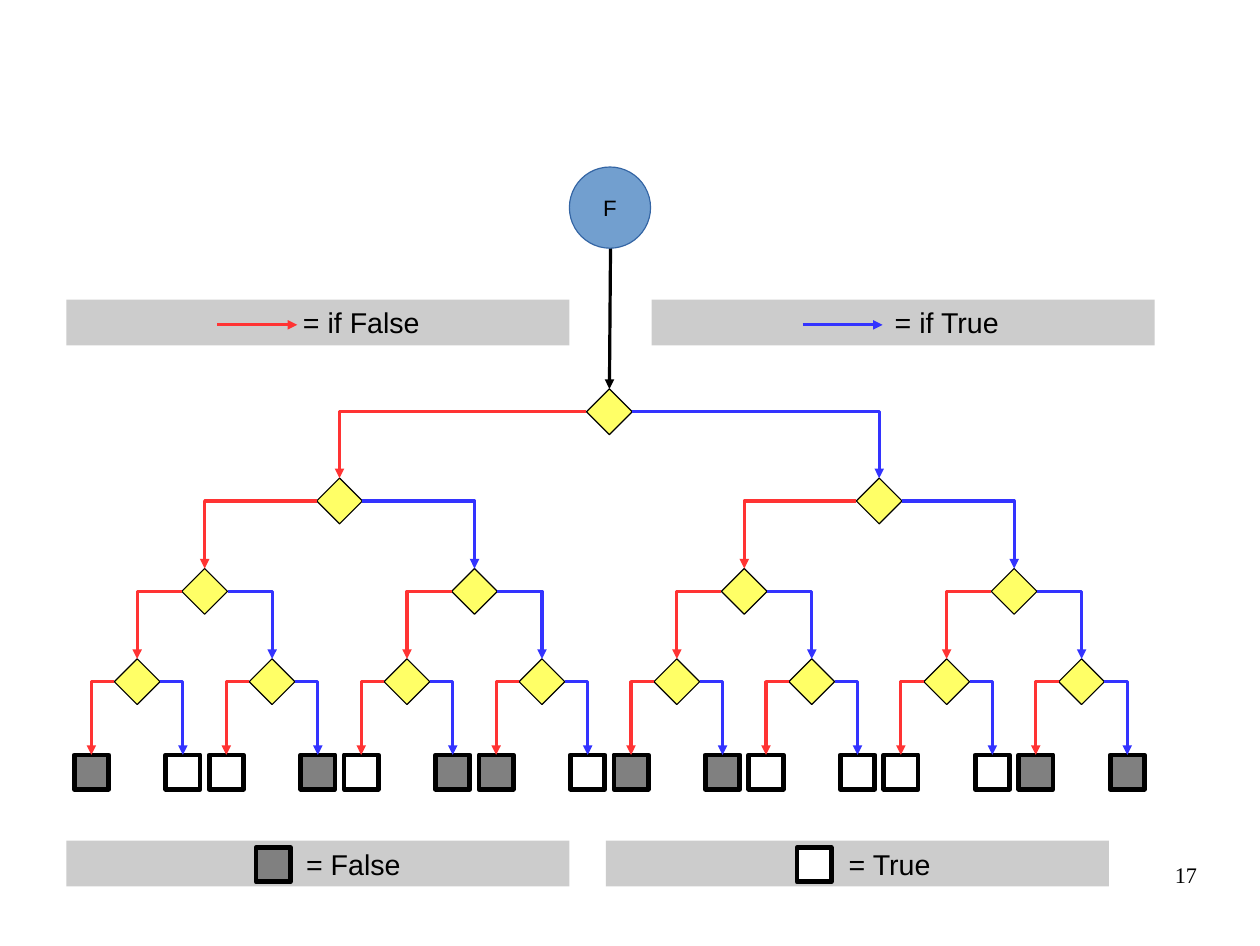
from pptx import Presentation
from pptx.dml.color import RGBColor
from pptx.enum.shapes import MSO_CONNECTOR, MSO_SHAPE
from pptx.enum.text import MSO_ANCHOR, PP_ALIGN
from pptx.oxml.ns import qn
from pptx.util import Pt
from lxml import etree

RECT, DIAMOND, OVAL = MSO_SHAPE.RECTANGLE, MSO_SHAPE.DIAMOND, MSO_SHAPE.OVAL
STRAIGHT, ELBOW = MSO_CONNECTOR.STRAIGHT, MSO_CONNECTOR.ELBOW
MIDDLE = MSO_ANCHOR.MIDDLE
CENTER, RIGHT = PP_ALIGN.CENTER, PP_ALIGN.RIGHT

PX = 9144  # 100 px to the inch
TOP, LEFT_SIDE, RIGHT_SIDE = 0, 1, 3  # connection sites

COLORS = {
    "black": "000000", "bar": "CCCCCC", "decision": "FFFF66",
    "function": "729FCF", "function_edge": "3465A4",
    "if_false": "FF3333", "if_true": "3333FF",
    "F": "808080", "T": "FFFFFF",
}
ROOT_X = 533
DECISION_TOPS = [340, 418, 497, 576]
CHILD_OFFSETS = [236, 118, 59, 40]
DECISION_SIZE = 40
LEAF_TOP, LEAF_SIZE = 660, 30
OUTCOMES = "FTTFTFFTFFTTTTFF"


def color(name):
    return RGBColor.from_string(COLORS[name])


def add_box(slide, kind, left, top, width, height, fill, edge=None, weight=0):
    box = slide.shapes.add_shape(kind, left * PX, top * PX, width * PX, height * PX)
    box.shadow.inherit = False
    box.fill.solid()
    box.fill.fore_color.rgb = color(fill)
    if edge:
        box.line.color.rgb = color(edge)
        box.line.width = Pt(weight)
    else:
        box.line.fill.background()
    return box


def write(box, text, size, font="Arial", align=CENTER):
    frame = box.text_frame
    frame.word_wrap = True
    paragraph = frame.paragraphs[0]
    paragraph.text = text
    paragraph.alignment = align
    paragraph.font.size = Pt(size)
    paragraph.font.name = font
    paragraph.font.color.rgb = color("black")
    return frame


def add_arrow(slide, kind, start, end, ink):
    arrow = slide.shapes.add_connector(kind, *(v * PX for v in (*start, *end)))
    arrow.line.color.rgb = color(ink)
    arrow.line.width = Pt(0)
    properties = arrow._element.spPr
    etree.SubElement(properties.find(qn("a:ln")), qn("a:tailEnd"), type="triangle")
    etree.SubElement(properties, qn("a:effectLst"))
    return arrow


def add_branch(slide, parent, side, child, ink):
    branch = add_arrow(slide, ELBOW, (0, 0), (0, 0), ink)
    branch.begin_connect(parent, side)
    branch.end_connect(child, TOP)
    # One corner: sideways, then down
    branch._element.spPr.find(qn("a:prstGeom")).set("prst", "bentConnector2")


def add_leaf(slide, left, top, outcome):
    return add_box(slide, RECT, left, top, LEAF_SIZE, LEAF_SIZE, outcome, "black", 3)


def add_tree(slide, x, level, outcomes):
    if level == len(DECISION_TOPS):
        return add_leaf(slide, x - LEAF_SIZE // 2, LEAF_TOP, outcomes)
    decision = add_box(slide, DIAMOND, x - DECISION_SIZE // 2, DECISION_TOPS[level],
                       DECISION_SIZE, DECISION_SIZE, "decision", "black")
    half, offset = len(outcomes) // 2, CHILD_OFFSETS[level]
    if_false = add_tree(slide, x - offset, level + 1, outcomes[:half])
    if_true = add_tree(slide, x + offset, level + 1, outcomes[half:])
    add_branch(slide, decision, LEFT_SIDE, if_false, "if_false")
    add_branch(slide, decision, RIGHT_SIDE, if_true, "if_true")
    return decision


def add_legend_bar(slide, left, top, text, indent):
    bar = add_box(slide, RECT, left, top, 440, 40, "bar")
    frame = write(bar, text, 18)
    frame.vertical_anchor = MIDDLE
    frame.margin_left = indent * PX


def add_page_number(slide, number):
    box = slide.shapes.add_textbox(790 * PX, 753 * PX, 257 * PX, 57 * PX)
    frame = write(box, number, 14, "Times New Roman", RIGHT)
    frame.margin_left = frame.margin_right = 0
    frame.margin_top = frame.margin_bottom = 0


def main():
    deck = Presentation()
    deck.slide_width, deck.slide_height = 1102 * PX, 827 * PX
    slide = deck.slides.add_slide(deck.slide_layouts[6])

    # Decision tree
    add_tree(slide, ROOT_X, 0, OUTCOMES)

    # Function and its arrow to the root
    add_arrow(slide, STRAIGHT, (534, 216), (ROOT_X, DECISION_TOPS[0]), "black")
    function = add_box(slide, OVAL, 498, 146, 71, 71, "function", "function_edge")
    write(function, "F", 14).vertical_anchor = MIDDLE

    # Legend of branches
    for left, text, arrow_left, ink in [(58, "= if False", 190, "if_false"),
                                        (570, "= if True", 702, "if_true")]:
        add_legend_bar(slide, left, 262, text, 86)
        add_arrow(slide, STRAIGHT, (arrow_left, 284), (arrow_left + 70, 284), ink)

    # Legend of outcomes
    for left, text, indent, leaf_left, outcome in [(58, "= False", 72, 224, "F"),
                                                   (530, "= True", 66, 697, "T")]:
        add_legend_bar(slide, left, 735, text, indent)
        add_leaf(slide, leaf_left, 741, outcome)

    add_page_number(slide, "17")
    deck.save("out.pptx")


if __name__ == "__main__":
    main()
